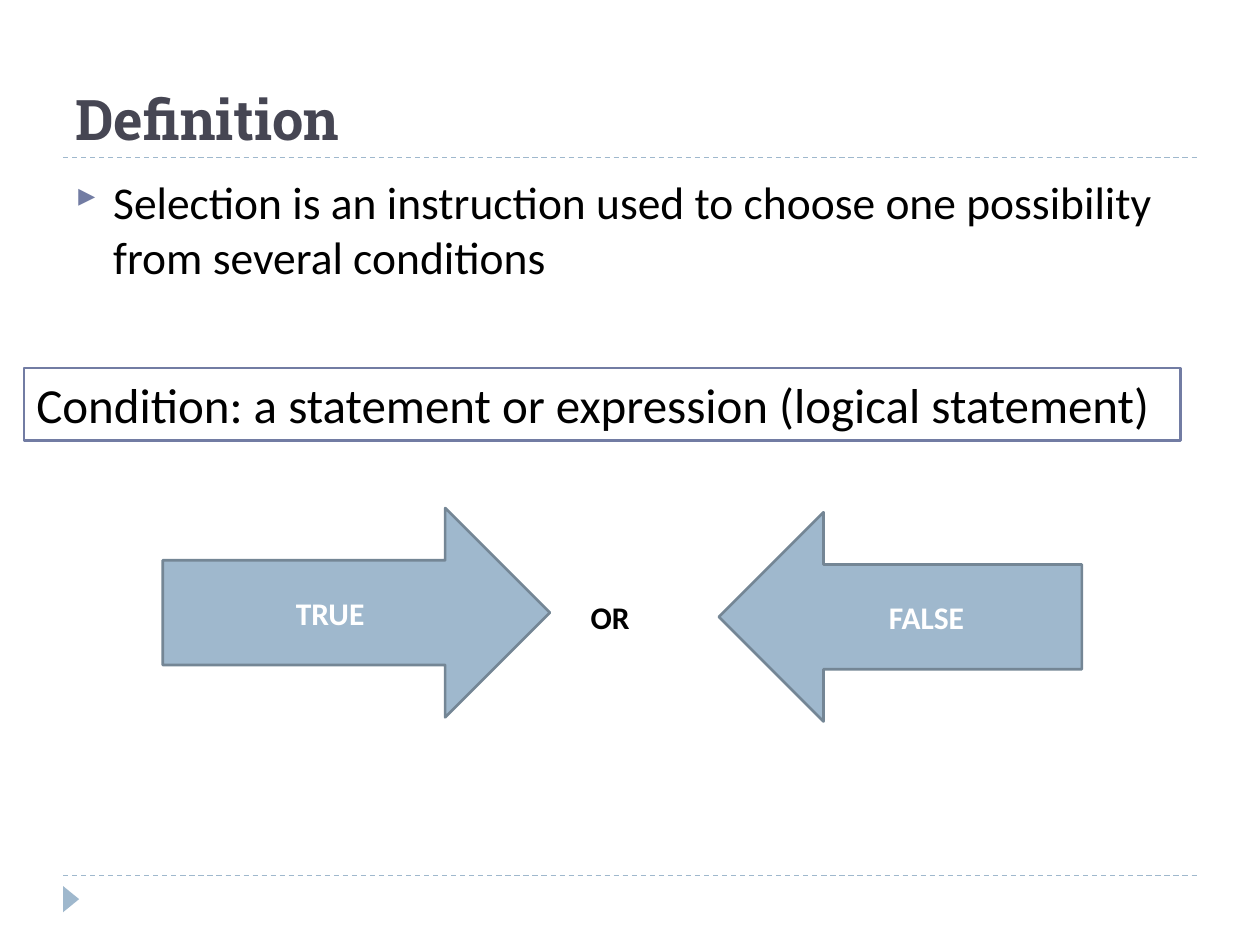
import pptx
import pptx.dml.color
import pptx.enum.dml
import pptx.enum.shapes
import pptx.enum.text
import pptx.oxml
import pptx.oxml.ns
import pptx.util

Pt = pptx.util.Pt
SHAPE = pptx.enum.shapes.MSO_SHAPE
ANCHOR = pptx.enum.text.MSO_ANCHOR
ALIGN = pptx.enum.text.PP_ALIGN
COLORS = {"title": "464653", "text": "000000", "accent": "727CA3",
          "arrow": "9FB8CD", "arrow_edge": "748695", "white": "FFFFFF"}


def rgb(name):
    """Return the named colour."""
    return pptx.dml.color.RGBColor.from_string(COLORS[name])


def write(sp, text, size, color="text", font="Calibri", bold=False,
          anchor=ANCHOR.TOP, align=ALIGN.LEFT, wrap=True):
    """Put one formatted paragraph in a shape and return it."""
    tf = sp.text_frame
    p = tf.paragraphs[0]
    r = p.add_run()
    formats = [
        (tf, {"word_wrap": wrap, "vertical_anchor": anchor}),
        (p, {"alignment": align}),
        (r, {"text": text}),
        (r.font, {"name": font, "size": Pt(size), "bold": bold}),
    ]
    for target, values in formats:
        for key, value in values.items():
            setattr(target, key, value)
    r.font.color.rgb = rgb(color)
    return p


def add_text(s, box, text, size, **fmt):
    """Add a text box and return its paragraph."""
    return write(s.shapes.add_textbox(*map(Pt, box)), text, size, **fmt)


def add_shape(s, kind, box, fill, edge=None):
    """Add a flat preset shape with an optional outline."""
    sp = s.shapes.add_shape(kind, *map(Pt, box))
    sp.shadow.inherit = False
    sp.fill.solid()
    sp.fill.fore_color.rgb = rgb(fill)
    if edge:
        sp.line.color.rgb = rgb(edge)
        sp.line.width = Pt(1.5)
    else:
        sp.line.fill.background()
    return sp


def add_rule(s, x, y, w):
    """Add a dashed horizontal rule."""
    ln = s.shapes.add_connector(pptx.enum.shapes.MSO_CONNECTOR.STRAIGHT,
                                Pt(x), Pt(y), Pt(x + w), Pt(y))
    ln.line.color.rgb = rgb("arrow")
    ln.line.width = Pt(0.75)
    ln.line.dash_style = pptx.enum.dml.MSO_LINE.DASH
    ln._element.spPr.append(pptx.oxml.parse_xml(
        f"<a:effectLst {pptx.oxml.ns.nsdecls('a')}/>"))


def add_bullet(p, indent):
    """Give a paragraph a hanging bullet, the symbol font's right triangle."""
    pPr = p._p.get_or_add_pPr()
    pPr.set("marL", str(Pt(indent)))
    pPr.set("indent", str(-Pt(indent)))
    ns = pptx.oxml.ns.nsdecls("a")
    for xml in (f'<a:buClr {ns}><a:srgbClr val="{COLORS["accent"]}"/></a:buClr>',
                f'<a:buSzPct {ns} val="76000"/>',
                f'<a:buFont {ns} typeface="Wingdings 3" pitchFamily="18" charset="2"/>',
                f'<a:buChar {ns} char="}}"/>'):
        pPr.append(pptx.oxml.parse_xml(xml))


def header(s, x, y, w, h):
    """Place the title above its rule."""
    add_rule(s, x, y + h, w)
    add_text(s, (x, y, w, h), "Definition", 32, color="title",
             font="Roboto Slab", bold=True, anchor=ANCHOR.BOTTOM)


def body(s, x, y, w, h):
    """Place the bulleted definition."""
    p = add_text(s, (x, y, w, h), "Selection is an instruction used to choose "
                 "one possibility from several conditions", 26)
    add_bullet(p, 21.6)


def condition(s, x, y, w, h):
    """Place the outlined condition statement."""
    sp = add_shape(s, SHAPE.RECTANGLE, (x, y, w, h), "white", "accent")
    write(sp, "Condition: a statement or expression (logical statement)", 28)


def outcomes(s, x, y, w, h):
    """Place the two facing arrows with OR between them."""
    arrow_h = h - 2.4
    for kind, text, dx, dy, arrow_w in (
            (SHAPE.RIGHT_ARROW, "TRUE", 0, 0, 221.2),
            (SHAPE.LEFT_ARROW, "FALSE", w - 207.4, h - arrow_h, 207.4)):
        sp = add_shape(s, kind, (x + dx, y + dy, arrow_w, arrow_h),
                       "arrow", "arrow_edge")
        write(sp, text, 18, color="white", bold=True,
              anchor=ANCHOR.MIDDLE, align=ALIGN.CENTER)
    add_text(s, (x + 237.4, y + 47.6, 42.5, 29), "OR", 18, bold=True, wrap=False)


def footer(s, x, y, w):
    """Place the bottom rule and its triangle marker."""
    add_rule(s, x, y, w)
    sp = add_shape(s, SHAPE.ISOSCELES_TRIANGLE, (x - 2.9, y + 8.8, 15, 9.2), "arrow")
    sp.rotation = 90


def main():
    """Build and save the slide."""
    prs = pptx.Presentation()
    prs.slide_width, prs.slide_height = Pt(720), Pt(540)
    s = prs.slides.add_slide(prs.slide_layouts[6])
    footer(s, 36, 500.4, 648)
    header(s, 36, 12.2, 648, 77.8)
    body(s, 36, 96, 648, 389)
    condition(s, 13.7, 210.4, 661, 41.2)
    outcomes(s, 93, 290.3, 525.2, 122)
    prs.save("out.pptx")


if __name__ == "__main__":
    main()
